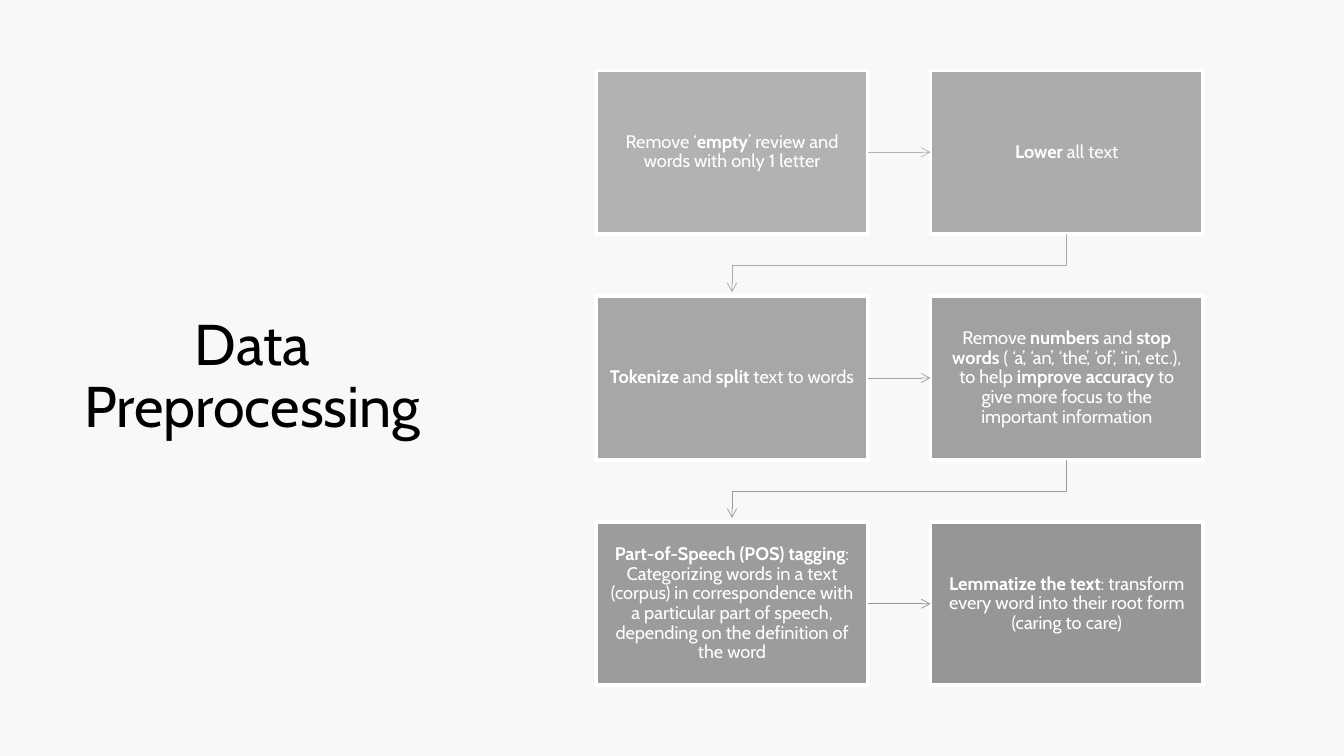
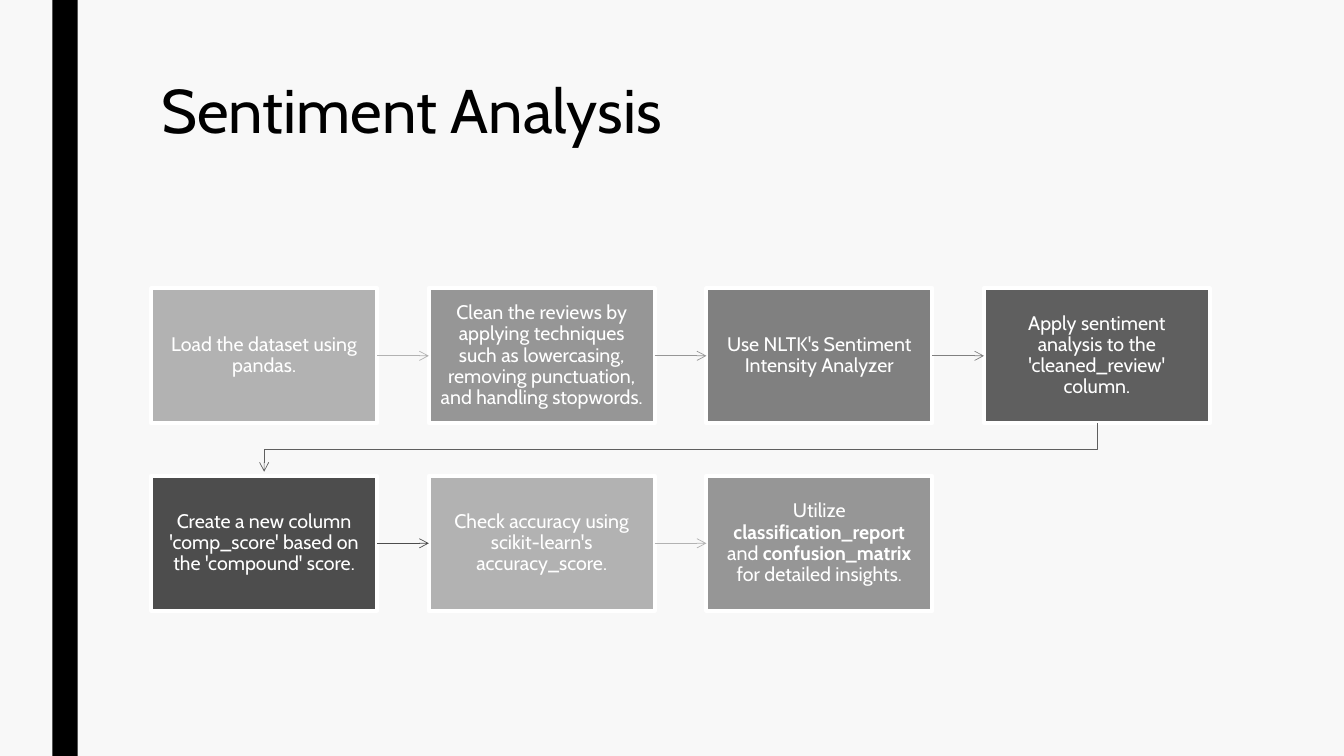
from lxml import etree
from pptx import Presentation
from pptx.dml.color import RGBColor
from pptx.enum import shapes, text
from pptx.oxml import ns
from pptx.util import Inches, Pt

BLACK = RGBColor(0x00, 0x00, 0x00)
WHITE = RGBColor(0xFF, 0xFF, 0xFF)
PAPER = RGBColor(0xF8, 0xF8, 0xF8)
FONT = "Cabin"
TIP = 0.04

RAMP = [round(178 - 5.6 * i) for i in range(6)]
CYCLE = [0xB2, 0x96, 0x80, 0x5F, 0x4D]

PAGES = [
    dict(
        title="Data Preprocessing", spot=(0.7, 0.7, 3.61, 6.1), size=41,
        align=text.PP_ALIGN.CENTER, anchor=text.MSO_ANCHOR.MIDDLE, bar=False,
        cols=2, left=5.91, top=0.7, wide=2.7, high=1.62, dx=3.32, dy=2.24,
        pad=(0.13, 0.14), font=13, fills=RAMP, lines=[178 - 7 * i for i in range(5)],
        steps=[
            "Remove ‘*empty*’ review and words with only 1 letter",
            "*Lower *all text",
            "*Tokenize* and *split *text to words",
            "Remove *numbers *and *stop words *( ‘a’, ‘an’, ‘the’, ‘of’, ‘in’, etc.), "
            "to help *improve accuracy *to give more focus to the important information",
            "*Part-of-Speech (POS) tagging*: Categorizing words in a text (corpus) in "
            "correspondence with a particular part of speech, depending on the "
            "definition of the word",
            "*Lemmatize the text*: transform every word into their root form "
            "(caring to care)",
        ],
    ),
    dict(
        title="Sentiment Analysis", spot=(1.5, 0.75, 10.5, 1.62), size=44,
        align=text.PP_ALIGN.LEFT, anchor=text.MSO_ANCHOR.TOP, bar=True,
        cols=4, left=1.5, top=2.86, wide=2.24, high=1.34, dx=8.26 / 3, dy=1.86,
        pad=(0.11, 0.12), font=14, fills=CYCLE, lines=CYCLE,
        steps=[
            "Load the dataset using pandas.",
            "Clean the reviews by applying techniques such as lowercasing, "
            "removing punctuation, and handling stopwords.",
            "Use NLTK's Sentiment Intensity Analyzer",
            "Apply sentiment analysis to the 'cleaned_review' column.",
            "Create a new column 'comp_score' based on the 'compound' score.",
            "Check accuracy using scikit-learn's accuracy_score.",
            "Utilize *classification_report* and *confusion_matrix* for detailed insights.",
        ],
    ),
]


def write(shape, words, size, color, align, anchor, space):
    frame = shape.text_frame
    frame.word_wrap = True
    frame.auto_size = text.MSO_AUTO_SIZE.NONE
    frame.vertical_anchor = anchor
    para = frame.paragraphs[0]
    para.alignment = align
    para.line_spacing = space
    for i, part in enumerate(words.split("*")):
        if part:
            run = para.add_run()
            run.text = part
            run.font.name = FONT
            run.font.size = Pt(size)
            run.font.bold = i % 2 == 1
            run.font.color.rgb = color


def point(shape, tone):
    shape.line.color.rgb = RGBColor(tone, tone, tone)
    shape.line.width = Pt(0.5)
    etree.SubElement(shape.line._get_or_add_ln(), ns.qn("a:tailEnd"), type="arrow")


deck = Presentation()
deck.slide_width = Inches(13.33)
deck.slide_height = Inches(7.5)
back = deck.slide_master.background.fill
back.solid()
back.fore_color.rgb = PAPER

for page in PAGES:
    slide = deck.slides.add_slide(deck.slide_layouts[5])
    parts = slide.shapes
    title = parts.title
    title.left, title.top, title.width, title.height = map(Inches, page["spot"])
    write(title, page["title"], page["size"], BLACK, page["align"], page["anchor"], 0.89)

    if page["bar"]:
        bar = parts.add_shape(shapes.MSO_SHAPE.RECTANGLE, Inches(0.52), 0,
                              Inches(0.25), deck.slide_height)
        bar.shadow.inherit = False
        bar.fill.solid()
        bar.fill.fore_color.rgb = BLACK
        bar.line.fill.background()

    wide, high, cols = page["wide"], page["high"], page["cols"]
    boxes = []
    for i, words in enumerate(page["steps"]):
        row, col = divmod(i, cols)
        box = parts.add_shape(
            shapes.MSO_SHAPE.RECTANGLE,
            Inches(page["left"] + col * page["dx"]), Inches(page["top"] + row * page["dy"]),
            Inches(wide), Inches(high))
        tone = page["fills"][i % len(page["fills"])]
        box.shadow.inherit = False
        box.fill.solid()
        box.fill.fore_color.rgb = RGBColor(tone, tone, tone)
        box.line.color.rgb = WHITE
        box.line.width = Pt(2.75)
        frame = box.text_frame
        frame.margin_left = frame.margin_right = Inches(page["pad"][0])
        frame.margin_top = frame.margin_bottom = Inches(page["pad"][1])
        write(box, words, page["font"], WHITE, text.PP_ALIGN.CENTER,
              text.MSO_ANCHOR.MIDDLE, 0.9)
        boxes.append(box)

    for i, (box, follow) in enumerate(zip(boxes, boxes[1:])):
        tone = page["lines"][i % len(page["lines"])]
        if (i + 1) % cols:
            arrow = parts.add_connector(shapes.MSO_CONNECTOR.STRAIGHT, 0, 0, 0, 0)
            arrow.begin_connect(box, 3)
            arrow.end_connect(follow, 1)
            etree.SubElement(arrow._element.spPr, ns.qn("a:effectLst"))
        else:
            start = box.left + box.width // 2
            end = follow.left + follow.width // 2
            foot = box.top + box.height
            turn = (foot + follow.top) // 2
            path = parts.build_freeform(start, foot)
            path.add_line_segments(
                [(start, turn), (end, turn), (end, follow.top - Inches(TIP))], close=False)
            arrow = path.convert_to_shape()
            arrow.shadow.inherit = False
            arrow.fill.background()
        point(arrow, tone)

deck.save("out.pptx")
